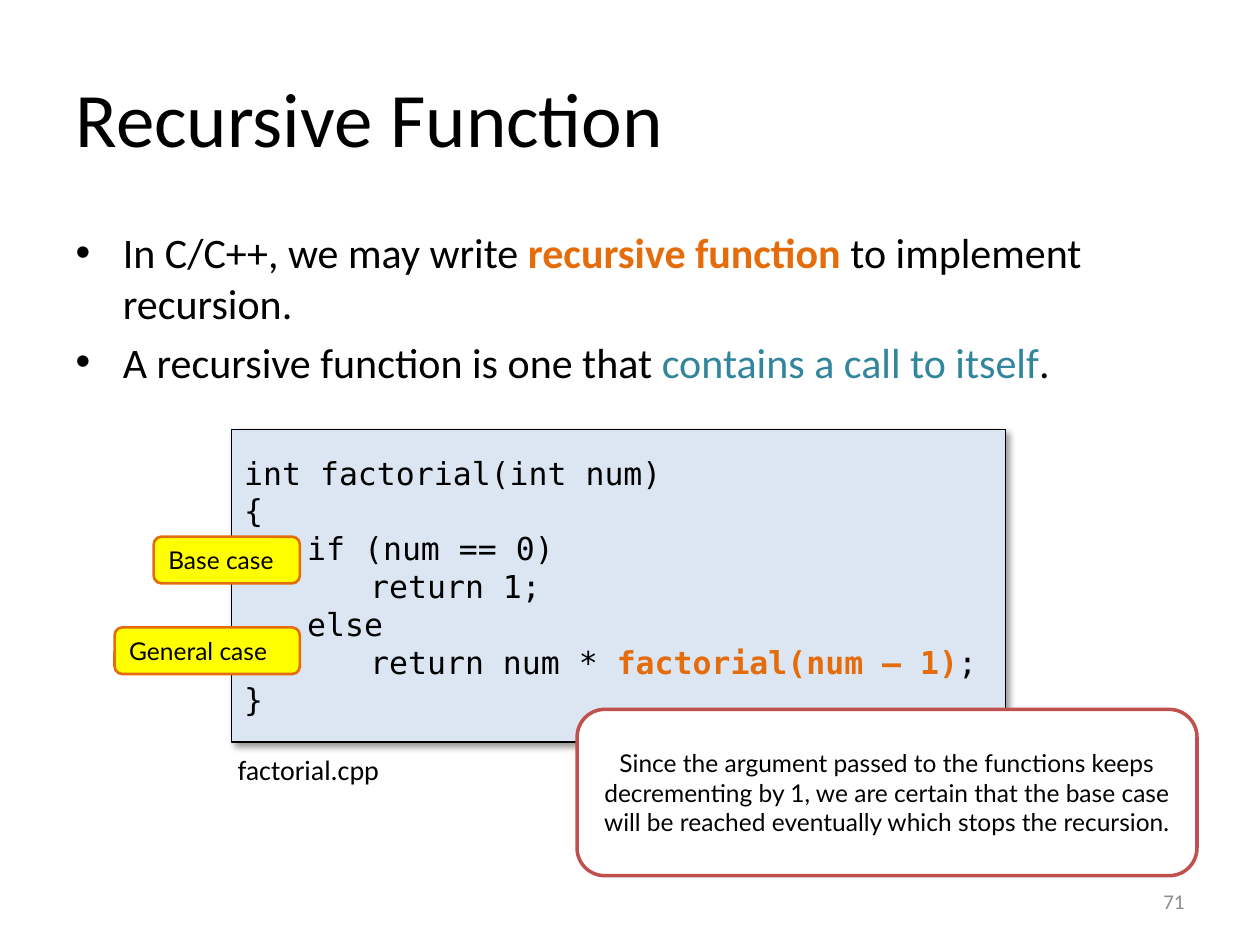
from lxml import etree
from pptx import Presentation
from pptx.dml.color import RGBColor
from pptx.enum.shapes import MSO_SHAPE
from pptx.enum.text import MSO_ANCHOR, PP_ALIGN
from pptx.oxml import parse_xml
from pptx.oxml.ns import nsdecls, qn
from pptx.util import Inches, Pt

RECT, ROUND = MSO_SHAPE.RECTANGLE, MSO_SHAPE.ROUNDED_RECTANGLE
LEFT, CENTER, RIGHT = PP_ALIGN.LEFT, PP_ALIGN.CENTER, PP_ALIGN.RIGHT
TOP, MIDDLE = MSO_ANCHOR.TOP, MSO_ANCHOR.MIDDLE
BLACK, ORANGE, TEAL, GREY = "000000", "E46C0A", "31859C", "8C8C8C"
SANS, MONO, NOTE = "Calibri", "DejaVu Sans Mono", "Lato"

# Each line is a list of runs: (text, colour, bold)
TITLE = [[("Recursive Function", BLACK, False)]]
POINTS = [
    [("In C/C++, we may write ", BLACK, False),
     ("recursive function ", ORANGE, True),
     ("to implement recursion.", BLACK, False)],
    [("A recursive function is one that ", BLACK, False),
     ("contains a call to itself", TEAL, False),
     (".", BLACK, False)],
]
CODE = [
    [("int factorial(int num)", BLACK, False)],
    [("{", BLACK, False)],
    [("\tif (num == 0)", BLACK, False)],
    [("\t\treturn 1;", BLACK, False)],
    [("\telse", BLACK, False)],
    [("\t\treturn num * ", BLACK, False),
     ("factorial(num – 1)", ORANGE, True),
     (";", BLACK, False)],
    [("}", BLACK, False)],
]
# Labels end on the same right edge: (text, top, width)
LABELS = [("Base case", 4.26, 1.16), ("General case", 4.98, 1.47)]
LABEL_RIGHT = 2.38
REMARK = ("Since the argument passed to the functions keeps decrementing by 1, "
          "we are certain that the base case will be reached eventually "
          "which stops the recursion.")


def color(code):
    return RGBColor.from_string(code)


def place(shape, *box):
    shape.left, shape.top, shape.width, shape.height = map(Inches, box)


def write(shape, lines, size, font, align=LEFT, anchor=MIDDLE):
    frame = shape.text_frame
    frame.word_wrap = True
    frame.vertical_anchor = anchor
    for i, line in enumerate(lines):
        para = frame.add_paragraph() if i else frame.paragraphs[0]
        para.alignment = align
        para.font.size, para.font.name = Pt(size), font
        for text, tint, bold in line:
            run = para.add_run()
            run.text = text
            run.font.color.rgb = color(tint)
            run.font.bold = bold
    return frame


def add_box(kind, box, fill, line, width):
    shape = slide.shapes.add_shape(kind, *map(Inches, box))
    shape.shadow.inherit = False
    shape.fill.solid()
    shape.fill.fore_color.rgb = color(fill)
    shape.line.color.rgb = color(line)
    shape.line.width = Pt(width)
    return shape


def add_shadow(shape):
    effects = shape.element.spPr.find(qn("a:effectLst"))
    effects.append(parse_xml(
        f'<a:outerShdw {nsdecls("a")} blurRad="{Pt(4)}" dist="{Pt(3)}" '
        'dir="2700000" algn="tl" rotWithShape="0"><a:srgbClr val="000000">'
        '<a:alpha val="40000"/></a:srgbClr></a:outerShdw>'))


def set_tabs(frame, step, count):
    for para in frame.paragraphs:
        tabs = etree.Element(qn("a:tabLst"))
        for n in range(1, count + 1):
            etree.SubElement(tabs, qn("a:tab"), pos=str(Inches(step * n)), algn="l")
        props = para._p.get_or_add_pPr()
        props.insert(0, tabs)


def add_text(box, text, size, tint, align=LEFT, anchor=TOP):
    shape = slide.shapes.add_textbox(*map(Inches, box))
    return write(shape, [[(text, tint, False)]], size, SANS, align, anchor)


deck = Presentation()
deck.slide_width, deck.slide_height = Inches(10), Inches(7.5)
slide = deck.slides.add_slide(deck.slide_layouts[1])

title, body = slide.placeholders
place(title, 0.5, 0.3, 9, 1.25)
write(title, TITLE, 44, SANS)
place(body, 0.5, 1.75, 9, 4.95)
write(body, POINTS, 24, SANS, anchor=TOP)

code = add_box(RECT, (1.84, 3.41, 6.14, 2.48), "DCE6F2", BLACK, 0.75)
add_shadow(code)
set_tabs(write(code, CODE, 18, MONO), 0.5, 2)

for text, top, width in LABELS:
    label = add_box(ROUND, (LABEL_RIGHT - width, top, width, 0.37),
                    "FFFF00", ORANGE, 1.5)
    write(label, [[(text, BLACK, False)]], 14, NOTE)

remark = add_box(ROUND, (4.58, 5.63, 4.92, 1.32), "FFFFFF", "C0504D", 2)
write(remark, [[(REMARK, BLACK, False)]], 14, NOTE, CENTER)

add_text((1.79, 5.92, 1.33, 0.37), "factorial.cpp", 16, BLACK).word_wrap = False
add_text((7.17, 6.95, 2.33, 0.4), "71", 12, GREY, RIGHT, MIDDLE)

deck.save("out.pptx")
